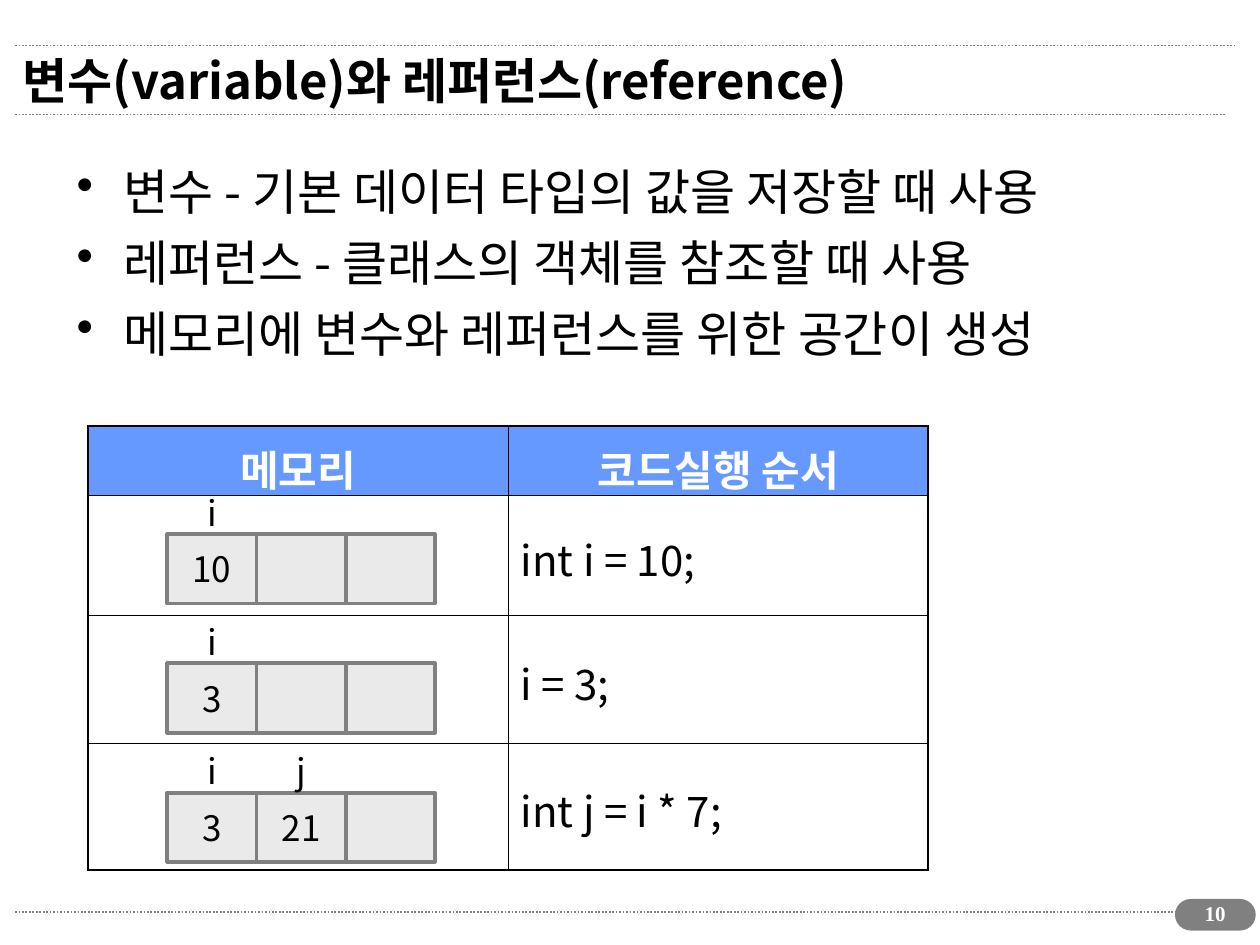
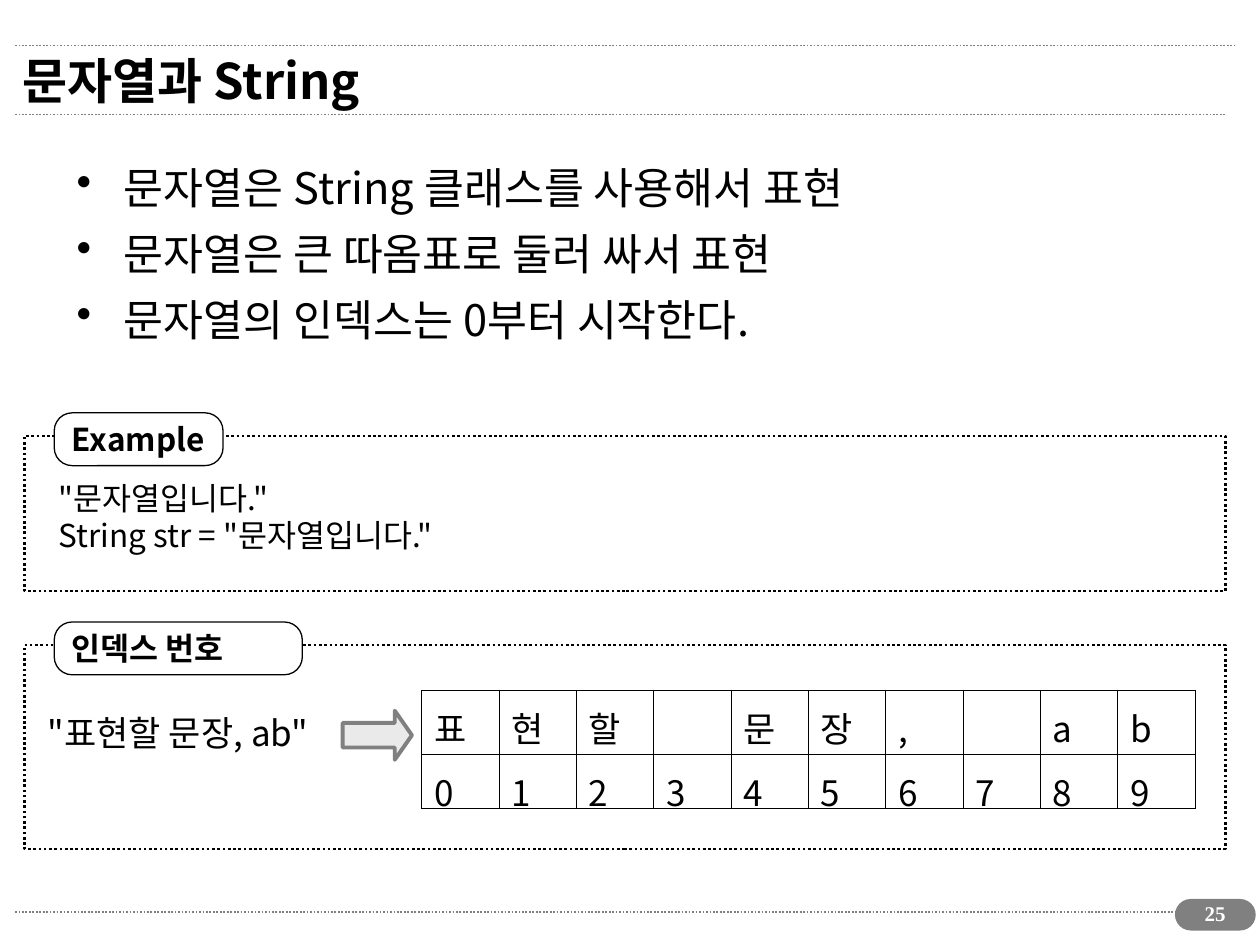
from dataclasses import dataclass
from itertools import accumulate

from lxml.etree import SubElement
from pptx import Presentation
from pptx.dml.color import RGBColor
from pptx.enum.dml import MSO_LINE
from pptx.enum.shapes import MSO_CONNECTOR, MSO_SHAPE as SHAPE
from pptx.enum.text import MSO_ANCHOR as ANCHOR, PP_ALIGN as ALIGN
from pptx.oxml.ns import qn
from pptx.util import Pt

BLACK = RGBColor(0x00, 0x00, 0x00)
WHITE = RGBColor(0xFF, 0xFF, 0xFF)
GRAY = RGBColor(0x80, 0x80, 0x80)
LIGHT = RGBColor(0xEA, 0xEA, 0xEA)
BLUE = RGBColor(0x66, 0x99, 0xFF)

SANS = "Noto Sans CJK KR"
SERIF = "Times New Roman"
OUTER, INNER = 1.08, 0.45  # table border widths


@dataclass(frozen=True)
class Box:
    x: float
    y: float
    w: float
    h: float

    def emu(self) -> tuple:
        return Pt(self.x), Pt(self.y), Pt(self.w), Pt(self.h)


@dataclass(frozen=True)
class MemoryRow:
    values: tuple
    names: tuple
    code: str


@dataclass(frozen=True)
class Panel:
    frame: Box
    tag: str
    tag_width: float


RULES = ((26, 705.6), (65.5, 699.8), (521.3, 700.6))  # y and right end
PILL = Box(671.8, 514.1, 45.4, 17.3)

MEMORY = (
    MemoryRow(("10", "", ""), ("i",), "int i = 10;"),
    MemoryRow(("3", "", ""), ("i",), "i = 3;"),
    MemoryRow(("3", "21", ""), ("i", "j"), "int j = i * 7;"),
)
PANELS = (
    Panel(Box(14, 249.1, 686.2, 88.6), "Example", 96.5),
    Panel(Box(14, 368.6, 686.2, 116.6), "인덱스 번호", 141.8),
)
INDEXED = "표현할 문장, ab"


def write(tf, text: str, *, size: float, font=SANS, color=BLACK, bold=False,
          align=ALIGN.LEFT, anchor=ANCHOR.TOP, wrap=True, bullet=False, gap=0) -> None:
    """Write each line of text as a paragraph of the frame."""
    tf.word_wrap = wrap
    tf.vertical_anchor = anchor
    for i, line in enumerate(text.split("\n")):
        p = tf.paragraphs[0] if i == 0 else tf.add_paragraph()
        p.alignment = align
        if bullet:
            pPr = p._p.get_or_add_pPr()
            pPr.set("marL", str(Pt(27)))
            pPr.set("indent", str(-Pt(27)))
            SubElement(pPr, qn("a:buChar")).set("char", "•")
        if i and gap:
            p.space_before = Pt(gap)
        r = p.add_run()
        r.text = line
        f = r.font
        f.name, f.size, f.bold = font, Pt(size), bold
        f.color.rgb = color
        SubElement(r._r.get_or_add_rPr(), qn("a:ea")).set("typeface", font)


def add_text(slide, box: Box, text: str, **fmt) -> None:
    write(slide.shapes.add_textbox(*box.emu()).text_frame, text, **fmt)


def add_shape(slide, kind, box: Box, *, fill=None, line=BLACK, width=0.75,
              dash=None, adjust=()):
    sp = slide.shapes.add_shape(kind, *box.emu())
    sp.shadow.inherit = False
    if fill is None:
        sp.fill.background()
    else:
        sp.fill.solid()
        sp.fill.fore_color.rgb = fill
    sp.line.color.rgb = line
    sp.line.width = Pt(width)
    if dash:
        sp.line.dash_style = dash
    for i, value in enumerate(adjust):
        sp.adjustments[i] = value
    return sp


def add_rule(slide, y: float, end: float) -> None:
    c = slide.shapes.add_connector(MSO_CONNECTOR.STRAIGHT, Pt(8.6), Pt(y), Pt(end), Pt(y))
    c.line.color.rgb = GRAY
    c.line.width = Pt(1)
    c.line.dash_style = MSO_LINE.ROUND_DOT
    SubElement(c._element.spPr, qn("a:effectLst"))


def set_borders(cell, widths: dict) -> None:
    tcPr = cell._tc.get_or_add_tcPr()
    for i, (side, width) in enumerate(widths.items()):
        ln = SubElement(tcPr, qn(f"a:ln{side}"), w=str(Pt(width)))
        fill = SubElement(ln, qn("a:solidFill"))
        SubElement(fill, qn("a:srgbClr"), val=str(BLACK))
        tcPr.insert(i, ln)


def add_table(slide, x: float, y: float, widths: list, heights: list, texts: list, *,
              outer: float, bottom: float, header=False, **fmt) -> None:
    box = Box(x, y, sum(widths), sum(heights))
    table = slide.shapes.add_table(len(heights), len(widths), *box.emu()).table
    table.first_row = table.horz_banding = False
    for col, width in zip(table.columns, widths):
        col.width = Pt(width)
    last_row, last_col = len(heights) - 1, len(widths) - 1
    for i, (row, height) in enumerate(zip(table.rows, heights)):
        row.height = Pt(height)
        for j, cell in enumerate(row.cells):
            head = header and i == 0
            if head:
                cell.fill.solid()
                cell.fill.fore_color.rgb = BLUE
            else:
                cell.fill.background()
            set_borders(cell, {
                "L": INNER if j else outer,
                "R": INNER if j < last_col else outer,
                "T": INNER if i else outer,
                "B": INNER if i < last_row else outer,
            })
            if texts[i][j]:
                style = dict(fmt, color=WHITE, bold=True, align=ALIGN.CENTER) if head else fmt
                write(cell.text_frame, texts[i][j], **style)
                cell.vertical_anchor = ANCHOR.MIDDLE if header and not head else ANCHOR.TOP
            cell.margin_top, cell.margin_bottom = Pt(6.8), Pt(bottom)


def add_page(prs, title: str, number: int, bullets: str, size: float, gap: float):
    """Add a slide with the shared rules, title, bullets and page number."""
    slide = prs.slides.add_slide(prs.slide_layouts[6])
    for y, end in RULES:
        add_rule(slide, y, end)
    add_shape(slide, SHAPE.ROUNDED_RECTANGLE, PILL, fill=GRAY, line=GRAY, adjust=(0.5,))
    add_text(slide, Box(674.6, 511.2, 39.6, 24.5), str(number), size=12, font=SERIF,
             color=WHITE, bold=True, align=ALIGN.CENTER)
    add_text(slide, Box(5.8, 20.2, 655.2, 51.1), title, size=28, bold=True,
             anchor=ANCHOR.MIDDLE)
    add_text(slide, Box(36.7, 88.6, 646.6, 130), bullets, size=size, bullet=True, gap=gap)
    return slide


def add_memory(slide, y: float, row: MemoryRow) -> None:
    """Draw three memory cells with the variable names above them."""
    w, h = 50.9, 39.6
    xs = [95.7 + i * w for i in range(len(row.values))]
    for x, value in zip(xs, row.values):
        sp = add_shape(slide, SHAPE.RECTANGLE, Box(x, y, w, h), fill=LIGHT, line=GRAY,
                       width=2.25)
        if value:
            write(sp.text_frame, value, size=20, align=ALIGN.CENTER,
                  anchor=ANCHOR.MIDDLE, wrap=False)
    for x, name in zip(xs, row.names):
        add_text(slide, Box(x, y - 28.1, w, 31.7), name, size=20, align=ALIGN.CENTER)


def add_panel(slide, panel: Panel) -> None:
    """Draw a dotted frame with a rounded tag on its top edge."""
    frame = panel.frame
    add_shape(slide, SHAPE.RECTANGLE, frame, width=1.5, dash=MSO_LINE.ROUND_DOT)
    tag = add_shape(slide, SHAPE.ROUNDED_RECTANGLE,
                    Box(31, frame.y - 13.2, panel.tag_width, 30.2),
                    fill=WHITE, adjust=(0.34,))
    write(tag.text_frame, panel.tag, size=18, bold=True, anchor=ANCHOR.MIDDLE, wrap=False)


def build_variables(prs) -> None:
    slide = add_page(prs, "변수(variable)와 레퍼런스(reference)", 10,
                     "변수 - 기본 데이터 타입의 값을 저장할 때 사용\n"
                     "레퍼런스 - 클래스의 객체를 참조할 때 사용\n"
                     "메모리에 변수와 레퍼런스를 위한 공간이 생성", size=28, gap=7)
    texts = [("메모리", "코드실행 순서"), *(("", row.code) for row in MEMORY)]
    add_table(slide, 50.4, 243.6, [240, 240], [39.6, 68.4, 73.4, 72], texts,
              outer=OUTER, bottom=3.6, header=True, size=24)
    for i, row in enumerate(MEMORY):
        add_memory(slide, 305.3 + i * 73.8, row)


def build_strings(prs) -> None:
    slide = add_page(prs, "문자열과 String", 25,
                     "문자열은 String 클래스를 사용해서 표현\n"
                     "문자열은 큰 따옴표로 둘러 싸서 표현\n"
                     "문자열의 인덱스는 0부터 시작한다.", size=24.8, gap=8)
    for panel in PANELS:
        add_panel(slide, panel)
    add_text(slide, Box(26.6, 270, 239, 50.4),
             '"문자열입니다."\nString str = "문자열입니다."', size=18, wrap=False)

    # String and the index of each of its characters
    add_text(slide, Box(20.2, 403.2, 172.1, 55), f'"{INDEXED}"', size=20)
    add_shape(slide, SHAPE.RIGHT_ARROW, Box(195.8, 406.1, 39.6, 28.1), fill=LIGHT,
              line=GRAY, width=2.25, adjust=(0.5, 0.35))
    chars = [c.strip() for c in INDEXED]
    chars.remove("b")
    chars.append("b")
    indices = [str(i) for i in range(len(chars))]
    add_table(slide, 240.9, 394.4, [44.2] * len(chars), [36.6, 31], [chars, indices],
              outer=INNER, bottom=0, size=20)


def main() -> None:
    prs = Presentation()
    prs.slide_width, prs.slide_height = Pt(720), Pt(540)
    build_variables(prs)
    build_strings(prs)
    prs.save("out.pptx")


if __name__ == "__main__":
    main()
